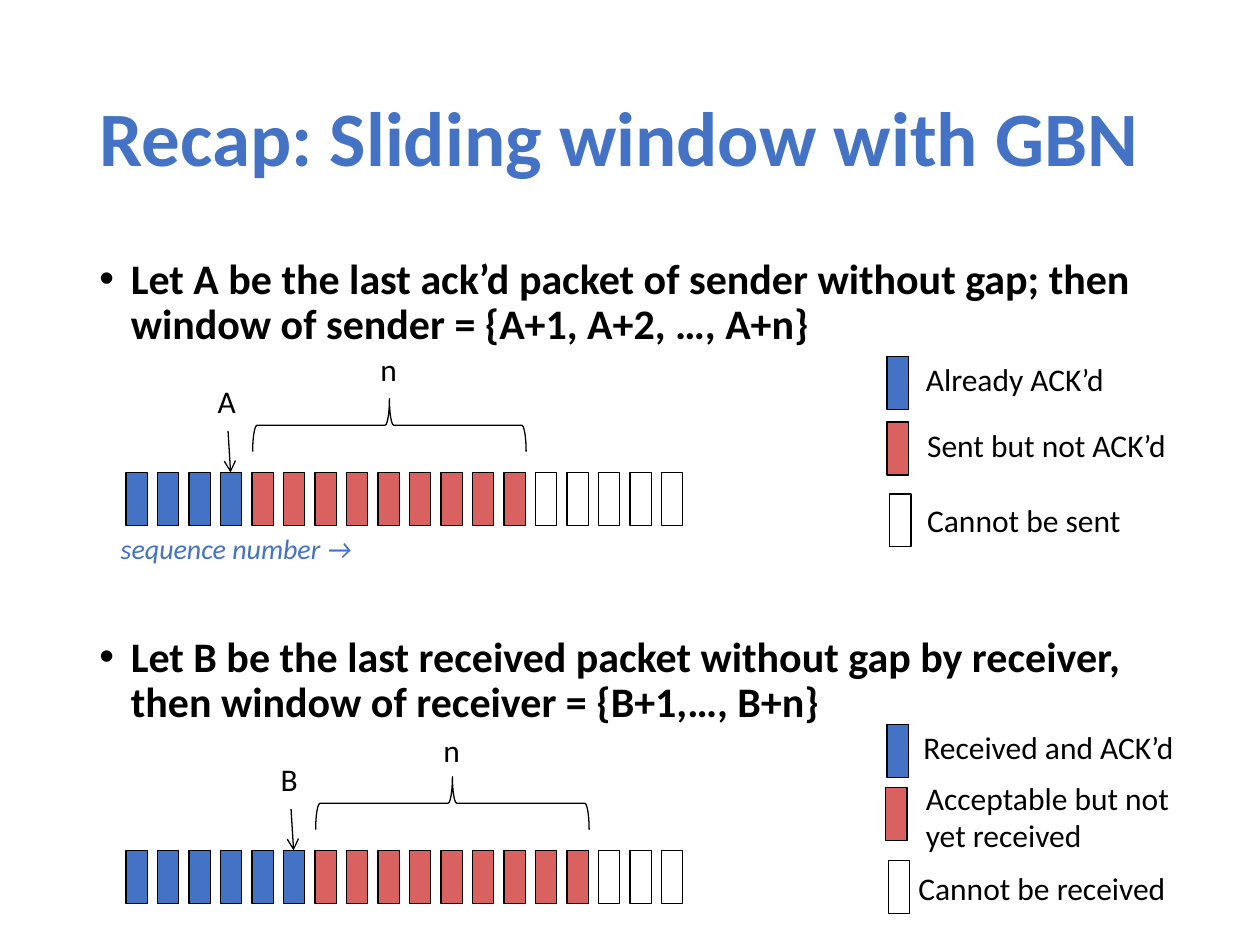
from lxml import etree
from pptx import Presentation
from pptx.dml.color import RGBColor
from pptx.enum.shapes import MSO_CONNECTOR as CONN, MSO_SHAPE as SHAPE
from pptx.enum.text import MSO_ANCHOR as ANCHOR, MSO_AUTO_SIZE as AUTO
from pptx.oxml.ns import qn
from pptx.util import Inches, Pt

BLUE = RGBColor(0x44, 0x72, 0xC4)
RED = RGBColor(0xD9, 0x61, 0x5F)
WHITE = RGBColor(0xFF, 0xFF, 0xFF)
BLACK = RGBColor(0x00, 0x00, 0x00)

prs = Presentation()
prs.slide_width, prs.slide_height = Inches(10), Inches(7.5)
s = prs.slides.add_slide(prs.slide_layouts[6])


def add_text(text, x, y, w, h, size=18, color=BLACK, bold=False, italic=False,
             wrap=False, anchor=ANCHOR.TOP, spacing=None, bullet=False):
    tf = s.shapes.add_textbox(Inches(x), Inches(y), Inches(w), Inches(h)).text_frame
    tf.word_wrap = wrap
    tf.auto_size = AUTO.NONE if wrap else AUTO.SHAPE_TO_FIT_TEXT
    tf.vertical_anchor = anchor
    p = tf.paragraphs[0]
    p.text = text
    if spacing:
        p.line_spacing = spacing
    if bullet:
        pPr = p._p.get_or_add_pPr()
        pPr.set("marL", str(Inches(0.25)))
        pPr.set("indent", str(-Inches(0.25)))
        etree.SubElement(pPr, qn("a:buFont")).set("typeface", "Arial")
        etree.SubElement(pPr, qn("a:buChar")).set("char", "•")
    for r in p.runs:
        r.font.name, r.font.size = "Calibri", Pt(size)
        r.font.bold, r.font.italic = bold, italic
        r.font.color.rgb = color


def add_shape(kind, x, y, w, h, fill=None):
    sp = s.shapes.add_shape(kind, Inches(x), Inches(y), Inches(w), Inches(h))
    sp.shadow.inherit = False
    if fill is None:
        sp.fill.background()
    else:
        sp.fill.solid()
        sp.fill.fore_color.rgb = fill
    sp.line.color.rgb = BLACK
    sp.line.width = Pt(0.75)
    return sp


# Title
add_text("Recap: Sliding window with GBN", 0.69, 0.4, 8.62, 1.45, size=44,
         color=BLUE, bold=True, wrap=True, anchor=ANCHOR.MIDDLE, spacing=0.9)

# Sender and receiver: bullet, top, marker letter, packets before the window,
# y of the n label, legend rows (color, box x, box y, label, x, y, w, h)
PACKETS, WINDOW, PITCH, BOX_W, BOX_H = 18, 9, 0.25, 0.17, 0.42
halves = [
    ("Let A be the last ack’d packet of sender without gap; "
     "then window of sender = {A+1, A+2, …, A+n}", 2, "A", 4, 2.73, [
         (BLUE, 7.04, 2.83, "Already ACK’d", 7.25, 2.81, 1.84, 0.4),
         (RED, 7.04, 3.35, "Sent but not ACK’d", 7.26, 3.33, 2.34, 0.4),
         (WHITE, 7.06, 3.92, "Cannot be sent", 7.26, 3.93, 1.91, 0.4)]),
    ("Let B be the last received packet without gap by receiver, "
     "then window of receiver = {B+1,…, B+n}", 5, "B", 6, 5.75, [
         (BLUE, 7.04, 5.75, "Received and ACK’d", 7.23, 5.73, 2.52, 0.4),
         (RED, 7.03, 6.25, "Acceptable but not\nyet received", 7.25, 6.13, 2.31, 0.71),
         (WHITE, 7.05, 6.83, "Cannot be received", 7.19, 6.85, 2.39, 0.4)]),
]

for bullet, top, letter, done, n_y, legend in halves:
    add_text(bullet, 0.69, top, 8.62, 0.9, size=24, bold=True, wrap=True,
             spacing=0.9, bullet=True)

    # Packet row
    for i in range(PACKETS):
        fill = BLUE if i < done else RED if i < done + WINDOW else WHITE
        add_shape(SHAPE.RECTANGLE, 1 + i * PITCH, top + 1.75, BOX_W, BOX_H, fill)

    # Window brace and its size
    start = 1 + done * PITCH
    brace = add_shape(SHAPE.LEFT_BRACE, start + 0.88, top + 0.29, BOX_H, 2.17)
    brace.rotation = 90
    add_text("n", start + 0.92, n_y, 0.37, 0.44)

    # Marker of the last packet before the window
    add_text(letter, start - 0.37, top + 0.98, 0.37, 0.44)
    arrow = s.shapes.add_connector(CONN.STRAIGHT, Inches(start - 0.19), Inches(top + 1.42),
                                   Inches(start - 0.17), Inches(top + 1.75))
    arrow.line.color.rgb = BLACK
    arrow.line.width = Pt(0.75)
    etree.SubElement(arrow.line._get_or_add_ln(), qn("a:tailEnd")).set("type", "arrow")
    etree.SubElement(arrow._element.spPr, qn("a:effectLst"))

    # Legend
    for fill, box_x, box_y, label, x, y, w, h in legend:
        add_shape(SHAPE.RECTANGLE, box_x, box_y, BOX_W, BOX_H, fill)
        add_text(label, x, y, w, h)

# Axis caption
add_text("sequence number →", 0.86, 4.17, 2.89, 0.37, size=16, color=BLUE,
         italic=True, wrap=True)

prs.save("out.pptx")
